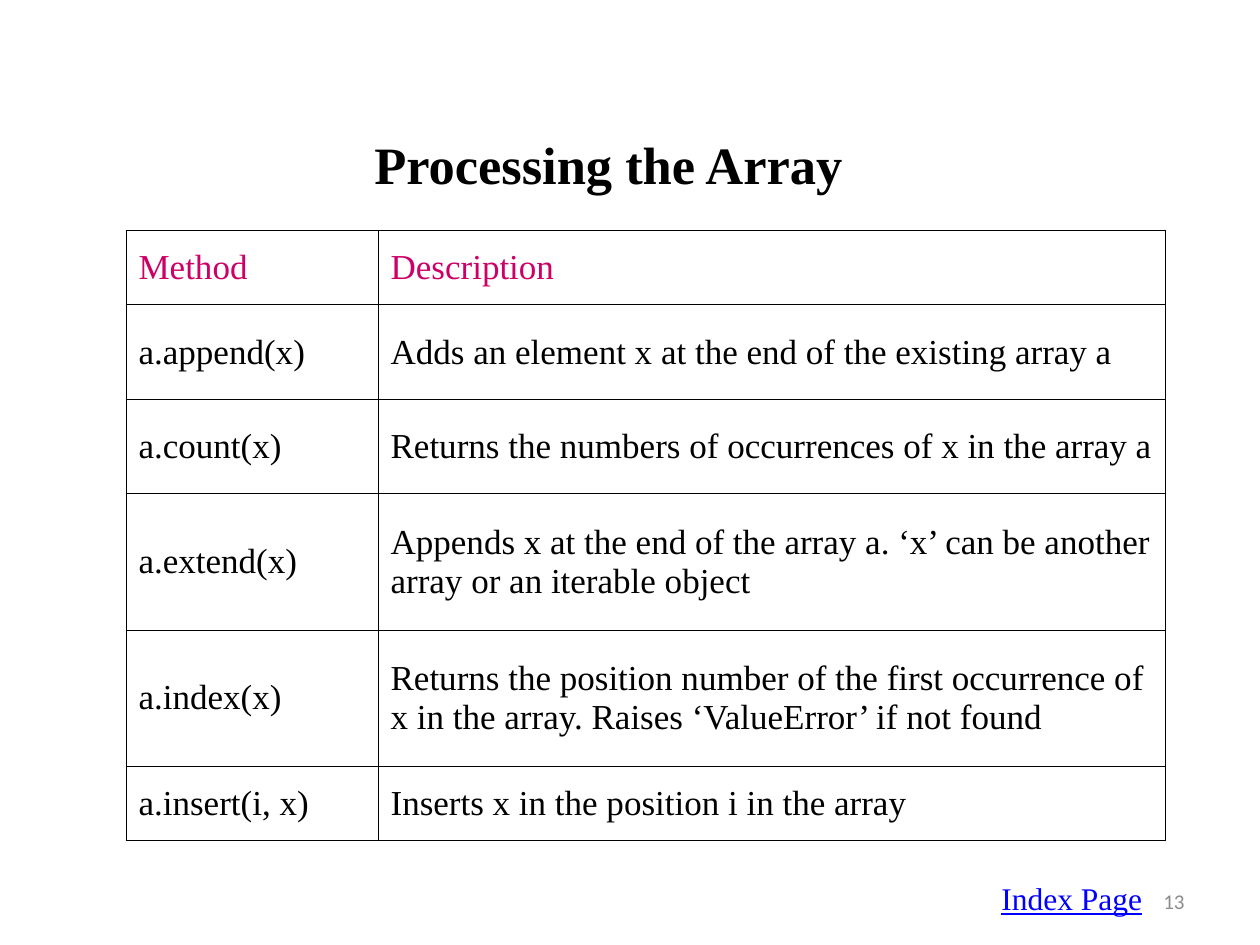
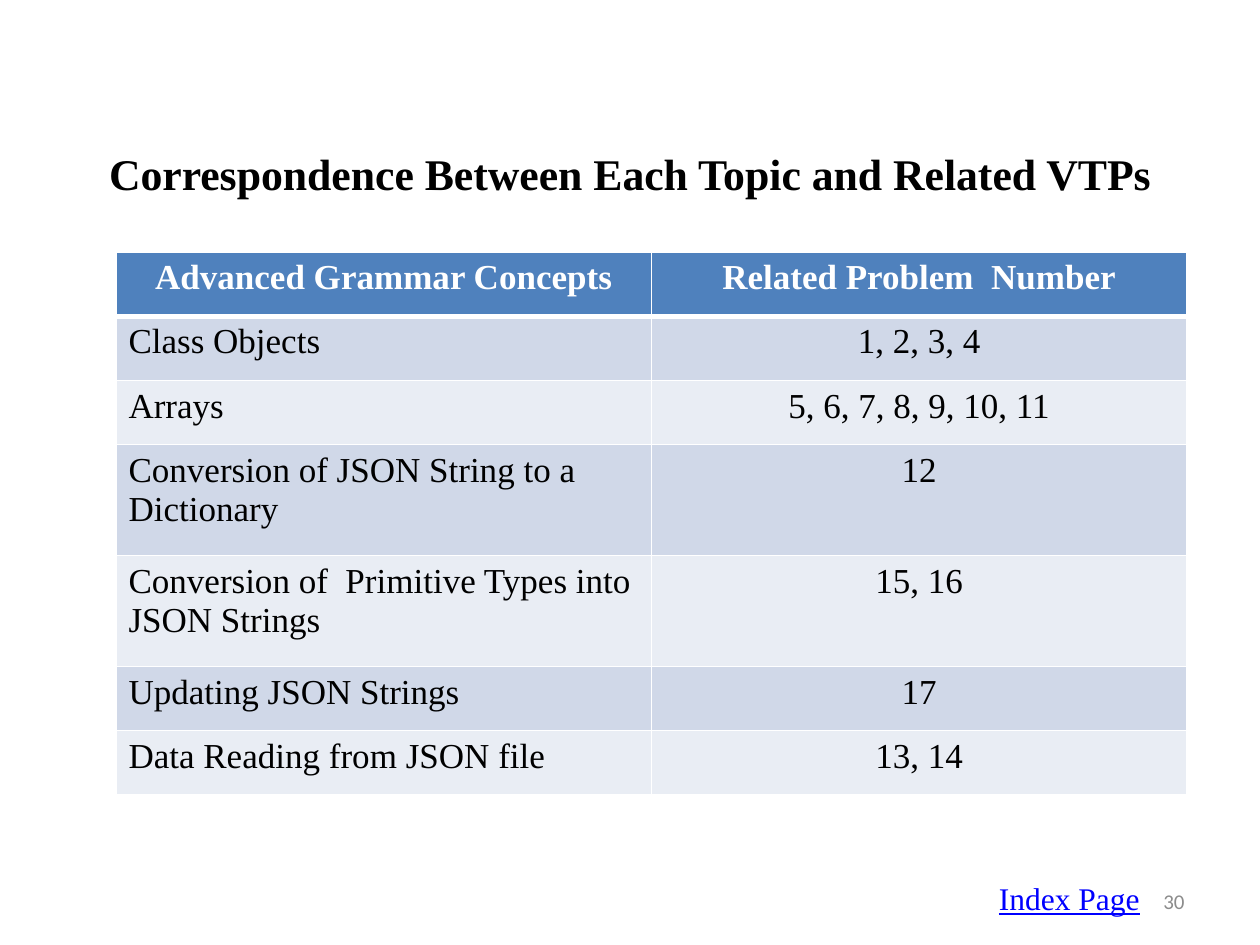
from dataclasses import dataclass

from lxml import etree
from pptx import Presentation
from pptx import util as u
from pptx.dml.color import RGBColor
from pptx.enum import text
from pptx.oxml.ns import qn

LEFT, CENTER = text.PP_ALIGN.LEFT, text.PP_ALIGN.CENTER
TOP, MIDDLE = text.MSO_ANCHOR.TOP, text.MSO_ANCHOR.MIDDLE


@dataclass(frozen=True)
class Theme:
    serif: str = "Times New Roman"
    sans: str = "Calibri"
    black: str = "000000"
    white: str = "FFFFFF"
    magenta: str = "CC0066"
    blue: str = "4F81BD"
    bands: tuple = ("D0D8E8", "E9EDF4")
    link: str = "0000FF"
    gray: str = "8C8C8C"
    body: int = 20
    index: int = 18
    number: int = 12


T = Theme()

# Table looks: head and body colours, fills, borders in points
GRID = dict(head=T.magenta, head_bold=False, head_fill=None, bands=(None,),
            line=T.black, width=0.5, head_width=0.5,
            anchor=MIDDLE, head_align=LEFT, aligns=(LEFT, LEFT))
BANDED = dict(head=T.white, head_bold=True, head_fill=T.blue, bands=T.bands,
              line=T.white, width=1, head_width=3,
              anchor=TOP, head_align=CENTER, aligns=(LEFT, CENTER))

# Content
SLIDES = [
    dict(title="Processing the Array", title_size=30,
         title_box=(0.58, 0.67, 8.5, 1.25),
         number="13", index_left=7.85, look=GRID,
         origin=(1, 1.83), cols=(2, 6.25),
         heights=(0.59, 0.75, 0.75, 1.08, 1.08, 0.59),
         rows=[
             ("Method", "Description"),
             ("a.append(x)", "Adds an element x at the end of the existing array a"),
             ("a.count(x)", "Returns the numbers of occurrences of x in the array a"),
             ("a.extend(x)", "Appends x at the end of the array a. ‘x’ can be another "
                             "array or an iterable object"),
             ("a.index(x)", "Returns the position number of the first occurrence of "
                            "x in the array. Raises ‘ValueError’ if not found"),
             ("a.insert(i, x)", "Inserts x in the position i in the array"),
         ]),
    dict(title="Correspondence Between Each Topic and Related VTPs", title_size=25,
         title_box=(0.5, 0.75, 9, 1.25),
         number="30", index_left=7.83, look=BANDED,
         origin=(0.92, 2), cols=(4.25, 4.25),
         heights=(0.51, 0.51, 0.51, 0.88, 0.88, 0.51, 0.51),
         rows=[
             ("Advanced Grammar Concepts", "Related Problem  Number"),
             ("Class Objects", "1, 2, 3, 4"),
             ("Arrays", "5, 6, 7, 8, 9, 10, 11"),
             ("Conversion of JSON String to a Dictionary", "12"),
             ("Conversion of  Primitive Types into JSON Strings", "15, 16"),
             ("Updating JSON Strings", "17"),
             ("Data Reading from JSON file", "13, 14"),
         ]),
]


def write(tf, words, size=T.body, color=T.black, font=T.serif,
          bold=False, underline=False, align=LEFT):
    p = tf.paragraphs[0]
    p.alignment = align
    r = p.add_run()
    r.text = words
    f = r.font
    f.size, f.name, f.bold, f.underline = u.Pt(size), font, bold, underline
    f.color.rgb = RGBColor.from_string(color)


def add_text(s, box, words, anchor=MIDDLE, wrap=True, **style):
    tf = s.shapes.add_textbox(*map(u.Inches, box)).text_frame
    tf.word_wrap = wrap
    tf.vertical_anchor = anchor
    write(tf, words, **style)


def set_borders(cell, color, widths):
    tc_pr = cell._tc.get_or_add_tcPr()
    for side, width in widths.items():
        ln = etree.SubElement(tc_pr, qn("a:ln" + side), w=str(u.Pt(width)))
        fill = etree.SubElement(ln, qn("a:solidFill"))
        etree.SubElement(fill, qn("a:srgbClr"), val=color)


def add_grid(s, rows, cols, heights, origin, look):
    size = sum(cols), sum(heights)
    table = s.shapes.add_table(len(rows), len(cols),
                               *map(u.Inches, (*origin, *size))).table
    table.first_row = table.horz_banding = False
    for column, width in zip(table.columns, cols):
        column.width = u.Inches(width)
    for i, (row, height) in enumerate(zip(rows, heights)):
        table.rows[i].height = u.Inches(height)
        head = i == 0
        fill = look["head_fill"] if head else look["bands"][(i - 1) % len(look["bands"])]
        thin, thick = look["width"], look["head_width"]
        widths = dict(L=thin, R=thin, T=thick if i == 1 else thin,
                      B=thick if head else thin)
        for j, words in enumerate(row):
            cell = table.cell(i, j)
            cell.vertical_anchor = look["anchor"]
            set_borders(cell, look["line"], widths)
            if fill:
                cell.fill.solid()
                cell.fill.fore_color.rgb = RGBColor.from_string(fill)
            else:
                cell.fill.background()
            write(cell.text_frame, words,
                  color=look["head"] if head else T.black,
                  bold=head and look["head_bold"],
                  align=look["head_align"] if head else look["aligns"][j])


def add_footer(s, number, index_left):
    add_text(s, (7.17, 6.95, 2.33, 0.4), number, size=T.number, color=T.gray,
             font=T.sans, align=text.PP_ALIGN.RIGHT)
    add_text(s, (index_left, 6.93, 1.33, 0.4), "Index Page", anchor=TOP, wrap=False,
             size=T.index, color=T.link, underline=True, align=text.PP_ALIGN.JUSTIFY)


prs = Presentation()
prs.slide_width, prs.slide_height = u.Inches(10), u.Inches(7.5)
for d in SLIDES:
    s = prs.slides.add_slide(prs.slide_layouts[6])
    add_text(s, d["title_box"], d["title"], size=d["title_size"], bold=True, align=CENTER)
    add_grid(s, d["rows"], d["cols"], d["heights"], d["origin"], d["look"])
    add_footer(s, d["number"], d["index_left"])
prs.save("out.pptx")
